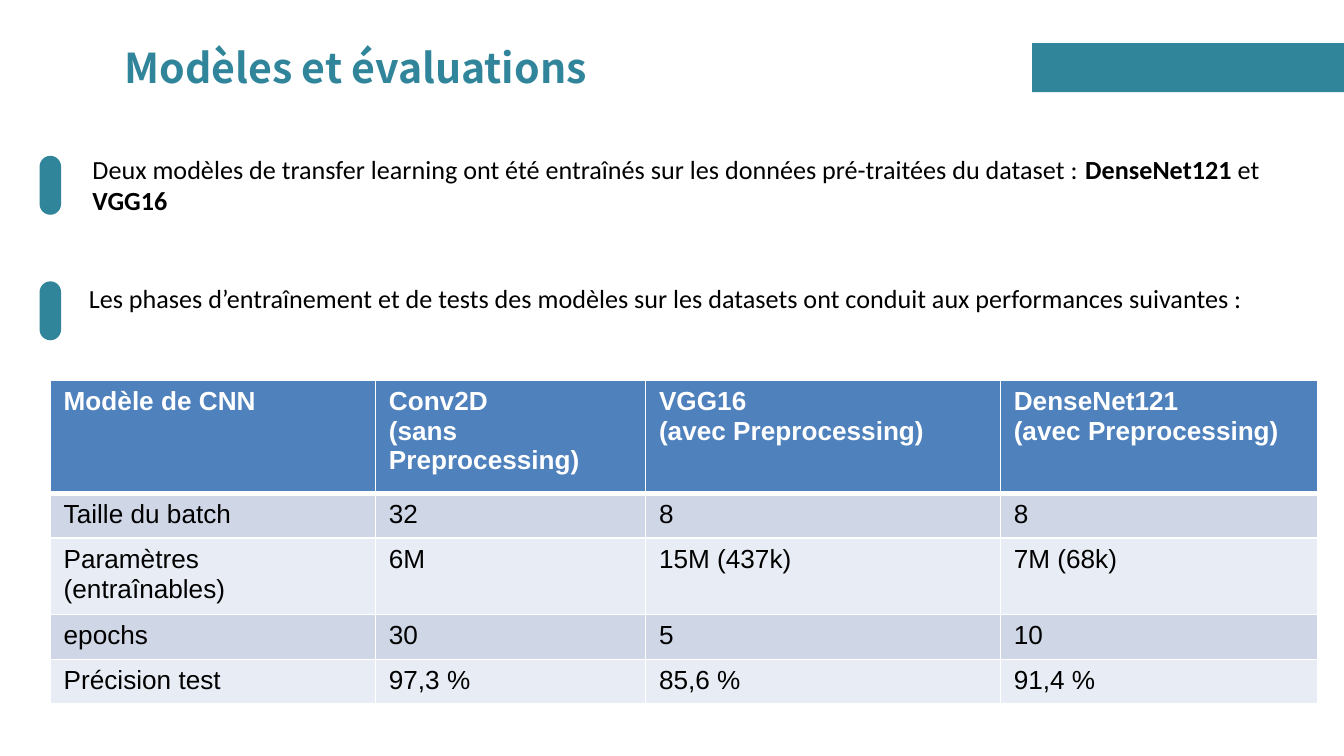
import pptx
import pptx.util
import pptx.dml.color
import pptx.enum.shapes
import pptx.enum.text
import pptx.oxml
import pptx.oxml.ns
from dataclasses import dataclass

WIDTH = pptx.util.Inches(10)
HEIGHT = WIDTH * 9 // 16
SHAPE = pptx.enum.shapes.MSO_SHAPE


@dataclass(frozen=True)
class Theme:
    teal: str = "31859B"
    header: str = "4F81BD"
    bands: tuple = ("CFD7E7", "E8ECF4")
    white: str = "FFFFFF"
    black: str = "000000"
    title_font: str = "Noto Sans CJK SC"
    body_font: str = "Calibri"
    table_font: str = "Arial"
    title_size: int = 22
    body_size: int = 14
    thin_rule: int = 1
    thick_rule: int = 3


THEME = Theme()
TITLE = {"name": THEME.title_font, "size": THEME.title_size, "color": THEME.teal, "bold": True}
BODY = {"name": THEME.body_font, "size": THEME.body_size, "color": THEME.black, "bold": False}
CELL = {**BODY, "name": THEME.table_font}
HEADER = {**CELL, "color": THEME.white, "bold": True}

# Table content; a line break starts a new paragraph
RESULTS = [
    ["Modèle de CNN", "Conv2D\n(sans Preprocessing)", "VGG16\n(avec Preprocessing)",
     "DenseNet121\n(avec Preprocessing)"],
    ["Taille du batch", "32", "8", "8"],
    ["Paramètres (entraînables)", "6M", "15M (437k)", "7M (68k)"],
    ["epochs", "30", "5", "10"],
    ["Précision test", "97,3 %", "85,6 %", "91,4 %"],
]
COLUMN_SHARES = [24.2, 20.1, 26.4, 23.6]
ROW_SHARES = [14.93] + [5.87] * 4


def across(percent):
    return round(WIDTH * percent / 100)


def down(percent):
    return round(HEIGHT * percent / 100)


def area(left, top, width, height):
    """Turn percentages of the slide into a position and size."""
    return across(left), down(top), across(width), down(height)


def rgb(value):
    return pptx.dml.color.RGBColor.from_string(value)


def format_font(font, style):
    values = {**style, "size": pptx.util.Pt(style["size"])}
    font.color.rgb = rgb(values.pop("color"))
    for attribute, value in values.items():
        setattr(font, attribute, value)


def add_block(slide, kind, box):
    block = slide.shapes.add_shape(kind, *box)
    block.shadow.inherit = False
    block.fill.solid()
    block.fill.fore_color.rgb = rgb(THEME.teal)
    block.line.fill.background()
    return block


def add_text(slide, box, runs, style):
    """Write one paragraph from (text, bold) runs."""
    frame = slide.shapes.add_textbox(*box).text_frame
    frame.word_wrap = True
    frame.auto_size = pptx.enum.text.MSO_AUTO_SIZE.SHAPE_TO_FIT_TEXT
    for text, bold in runs:
        run = frame.paragraphs[0].add_run()
        run.text = text
        format_font(run.font, {**style, "bold": bold})


def add_point(slide, marker_top, text_box, runs):
    marker = add_block(slide, SHAPE.ROUNDED_RECTANGLE, area(2.95, marker_top, 1.6, 7.8))
    marker.adjustments[0] = 0.5
    add_text(slide, text_box, runs, BODY)


def set_borders(cell, top_width, bottom_width):
    properties = cell._tc.get_or_add_tcPr()
    widths = {"lnL": THEME.thin_rule, "lnR": THEME.thin_rule,
              "lnT": top_width, "lnB": bottom_width}
    for position, (side, width) in enumerate(widths.items()):
        border = pptx.oxml.parse_xml(
            f'<a:{side} {pptx.oxml.ns.nsdecls("a")} w="{pptx.util.Pt(width)}">'
            f'<a:solidFill><a:srgbClr val="{THEME.white}"/></a:solidFill></a:{side}>')
        properties.insert(position, border)


def fill_cell(cell, text, fill, style):
    cell.fill.solid()
    cell.fill.fore_color.rgb = rgb(fill)
    cell.text = text
    for paragraph in cell.text_frame.paragraphs:
        for run in paragraph.runs:
            format_font(run.font, style)


def add_results(slide, left, top):
    box = area(left, top, sum(COLUMN_SHARES), sum(ROW_SHARES))
    table = slide.shapes.add_table(len(RESULTS), len(COLUMN_SHARES), *box).table
    for column, share in zip(table.columns, COLUMN_SHARES):
        column.width = across(share)

    # Horizontal rules: only the one under the header is thick
    rules = [THEME.thin_rule] * (len(RESULTS) + 1)
    rules[1] = THEME.thick_rule
    for index, (row, share) in enumerate(zip(table.rows, ROW_SHARES)):
        row.height = down(share)
        fill = THEME.bands[(index - 1) % 2] if index else THEME.header
        style = CELL if index else HEADER
        for cell, text in zip(row.cells, RESULTS[index]):
            fill_cell(cell, text, fill, style)
            set_borders(cell, rules[index], rules[index + 1])


def main():
    presentation = pptx.Presentation()
    presentation.slide_width, presentation.slide_height = WIDTH, HEIGHT
    slide = presentation.slides.add_slide(presentation.slide_layouts[6])

    # Heading with its accent bar
    add_block(slide, SHAPE.RECTANGLE, area(76.8, 5.69, 23.2, 6.5))
    add_text(slide, area(8.3, 4.8, 44.7, 7.82), [("Modèles et évaluations", True)], TITLE)

    # Key points
    add_point(slide, 20.62, area(5.9, 19.4, 90.6, 10.13), [
        ("Deux modèles de transfer learning ont été entraînés sur les données "
         "pré-traitées du dataset : ", False),
        ("DenseNet121", True), (" et ", False), ("VGG16", True)])
    add_point(slide, 37.22, area(5.63, 36.46, 90.6, 6.04), [
        ("Les phases d’entraînement et de tests des modèles sur les datasets "
         "ont conduit aux performances suivantes :", False)])

    # Model results
    add_results(slide, 3.74, 50.33)

    presentation.save("out.pptx")


if __name__ == "__main__":
    main()
